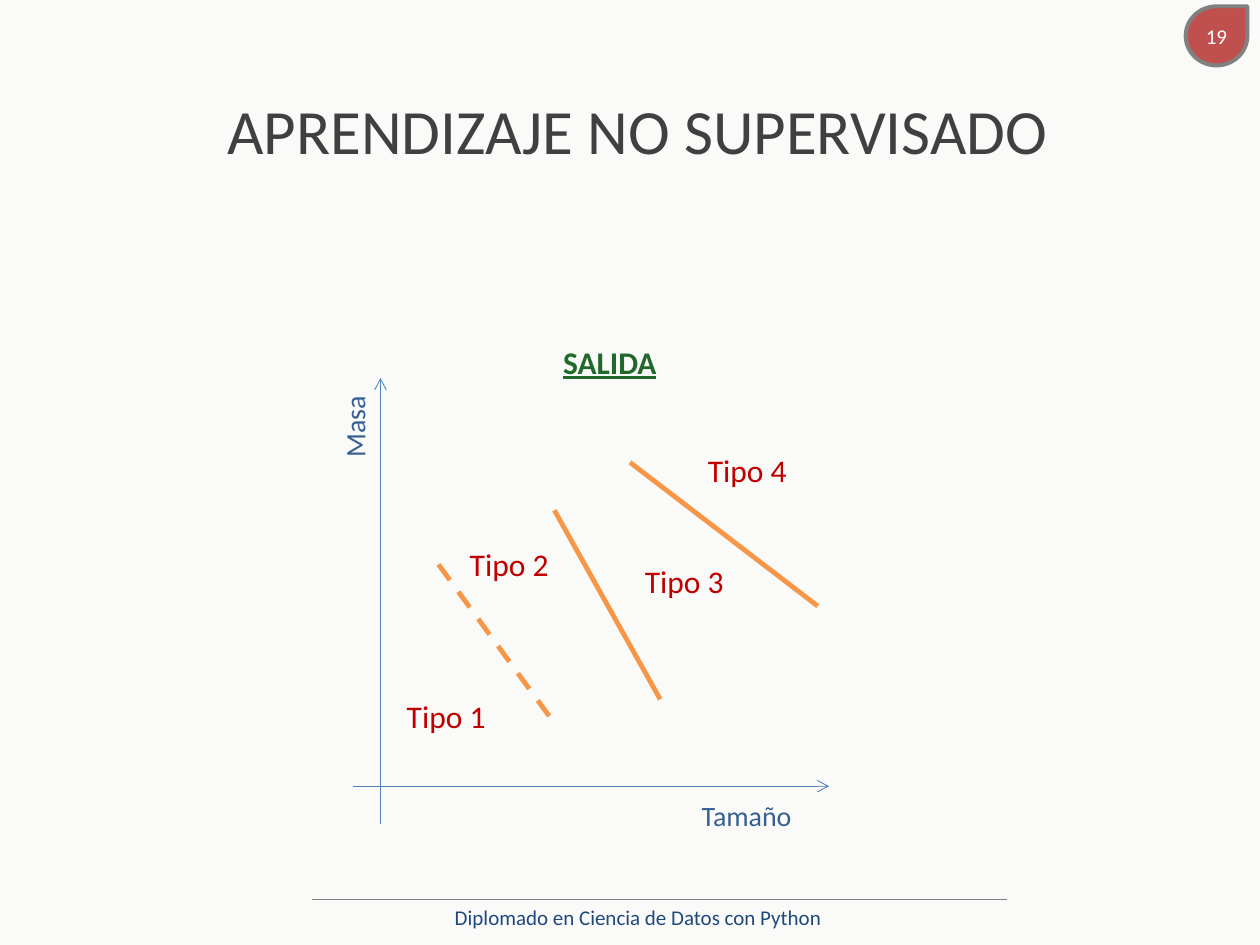
from lxml.etree import SubElement
from pptx import Presentation
from pptx.dml.color import RGBColor
from pptx.enum.dml import MSO_LINE
from pptx.enum.shapes import MSO_CONNECTOR, MSO_SHAPE
from pptx.enum.text import MSO_ANCHOR, MSO_AUTO_SIZE, PP_ALIGN
from pptx.oxml.ns import qn
from pptx.util import Inches, Pt

COLORS = {
    "background": "FAFAF8", "title": "404040", "badge": "C0504D",
    "gray": "808080", "white": "FFFFFF", "axis": "4F81BD",
    "axis_label": "376092", "boundary": "F79646", "type": "C00000",
    "footer": "1F497D", "output": "21692B",
}
FONT = "Calibri"

TITLE = "APRENDIZAJE NO SUPERVISADO"
FOOTER = "Diplomado en Ciencia de Datos con Python"
PAGE_NUMBER = "19"
OUTPUT_HEADING = "SALIDA"

# Lines: (start x, start y, end x, end y)
FOOTER_RULE = (2.48, 7.14, 7.99, 7.14)
AXES = [(3.02, 6.54, 3.02, 3), (2.8, 6.24, 6.58, 6.24)]
BOUNDARIES = [
    ((5, 3.67, 6.49, 4.81), None),
    ((4.4, 4.05, 5.24, 5.55), None),
    ((3.48, 4.48, 4.4, 5.74), MSO_LINE.DASH),
]
# Labels: text, (left, top, width, height), vertical direction
AXIS_LABELS = [
    ("Masa", (2.63, 3.14, 0.47, 0.59), "vert270"),
    ("Tamaño", (5.47, 6.29, 0.92, 0.37), None),
]
# Left and top of each label, numbered in order
TYPE_POSITIONS = [(3.13, 5.48), (3.63, 4.28), (5.02, 4.41), (5.52, 3.53)]
TYPE_SIZE = (0.83, 0.4)


def rgb(name):
    return RGBColor.from_string(COLORS[name])


def write(shape, text, size, color, align=PP_ALIGN.LEFT, **font_format):
    paragraph = shape.text_frame.paragraphs[0]
    paragraph.alignment = align
    run = paragraph.add_run()
    run.text = text
    values = {"name": FONT, "size": Pt(size), **font_format}
    for attribute, value in values.items():
        setattr(run.font, attribute, value)
    run.font.color.rgb = rgb(color)
    return paragraph


def fit_to_text(shape):
    shape.text_frame.word_wrap = False
    shape.text_frame.auto_size = MSO_AUTO_SIZE.SHAPE_TO_FIT_TEXT


def add_label(shapes, text, box, size, color, direction=None):
    label = shapes.add_textbox(*map(Inches, box))
    fit_to_text(label)
    if direction:
        label.text_frame._txBody.bodyPr.set("vert", direction)
    write(label, text, size, color)


def add_line(shapes, points, color, width, dash=None, arrow=False):
    line = shapes.add_connector(MSO_CONNECTOR.STRAIGHT, *map(Inches, points))
    line.line.color.rgb = rgb(color)
    line.line.width = Pt(width)
    if dash:
        line.line.dash_style = dash
    if arrow:
        SubElement(line.line._get_or_add_ln(), qn("a:tailEnd"), type="arrow")
    SubElement(line._element.spPr, qn("a:effectLst"))


def add_filled_shape(shapes, kind, box, color):
    shape = shapes.add_shape(kind, *map(Inches, box))
    shape.shadow.inherit = False
    shape.fill.solid()
    shape.fill.fore_color.rgb = rgb(color)
    shape.line.fill.background()
    return shape


def add_title(slide):
    title = slide.shapes.title
    box = map(Inches, (1.12, 0.75, 7.88, 1.19))
    for attribute, value in zip(("left", "top", "width", "height"), box):
        setattr(title, attribute, value)
    title.text_frame.vertical_anchor = MSO_ANCHOR.TOP
    paragraph = write(title, TITLE, 36, "title", PP_ALIGN.CENTER)
    paragraph.line_spacing = 0.89


def add_page_badge(shapes):
    badge = add_filled_shape(
        shapes, MSO_SHAPE.TEAR, (9.41, 0.05, 0.49, 0.47), "badge")
    badge.line.color.rgb = rgb("gray")
    badge.line.width = Pt(2.25)
    for side in ("left", "top", "right", "bottom"):
        setattr(badge.text_frame, f"margin_{side}", Inches(0.04))
    write(badge, PAGE_NUMBER, 12, "white", PP_ALIGN.CENTER)


def add_diagram(shapes):
    axes = shapes.add_group_shape().shapes
    for points in AXES:
        add_line(axes, points, "axis", 0.5, arrow=True)
    for text, box, direction in AXIS_LABELS:
        add_label(axes, text, box, 16, "axis_label", direction)

    boundaries = shapes.add_group_shape().shapes
    for points, dash in BOUNDARIES:
        add_line(boundaries, points, "boundary", 2.75, dash)

    types = shapes.add_group_shape().shapes
    for number, position in enumerate(TYPE_POSITIONS, start=1):
        add_label(types, f"Tipo {number}", position + TYPE_SIZE, 18, "type")


def add_footer(shapes):
    footer = shapes.add_textbox(*map(Inches, (1.13, 7.06, 7.87, 0.44)))
    footer.text_frame.word_wrap = True
    footer.text_frame.vertical_anchor = MSO_ANCHOR.MIDDLE
    write(footer, FOOTER, 12, "footer", PP_ALIGN.CENTER)


def add_output_heading(shapes):
    heading = add_filled_shape(
        shapes, MSO_SHAPE.RECTANGLE, (4.37, 2.67, 0.95, 0.4), "background")
    heading.text_frame.vertical_anchor = MSO_ANCHOR.TOP
    fit_to_text(heading)
    write(heading, OUTPUT_HEADING, 18, "output", bold=True, underline=True)


def main():
    presentation = Presentation()
    presentation.slide_width = Inches(10)
    presentation.slide_height = Inches(7.5)
    slide = presentation.slides.add_slide(presentation.slide_layouts[5])
    slide.background.fill.solid()
    slide.background.fill.fore_color.rgb = rgb("background")

    add_line(slide.shapes, FOOTER_RULE, "gray", 0.5)
    add_page_badge(slide.shapes)
    add_title(slide)
    add_diagram(slide.shapes)
    add_footer(slide.shapes)
    add_output_heading(slide.shapes)
    presentation.save("out.pptx")


if __name__ == "__main__":
    main()
